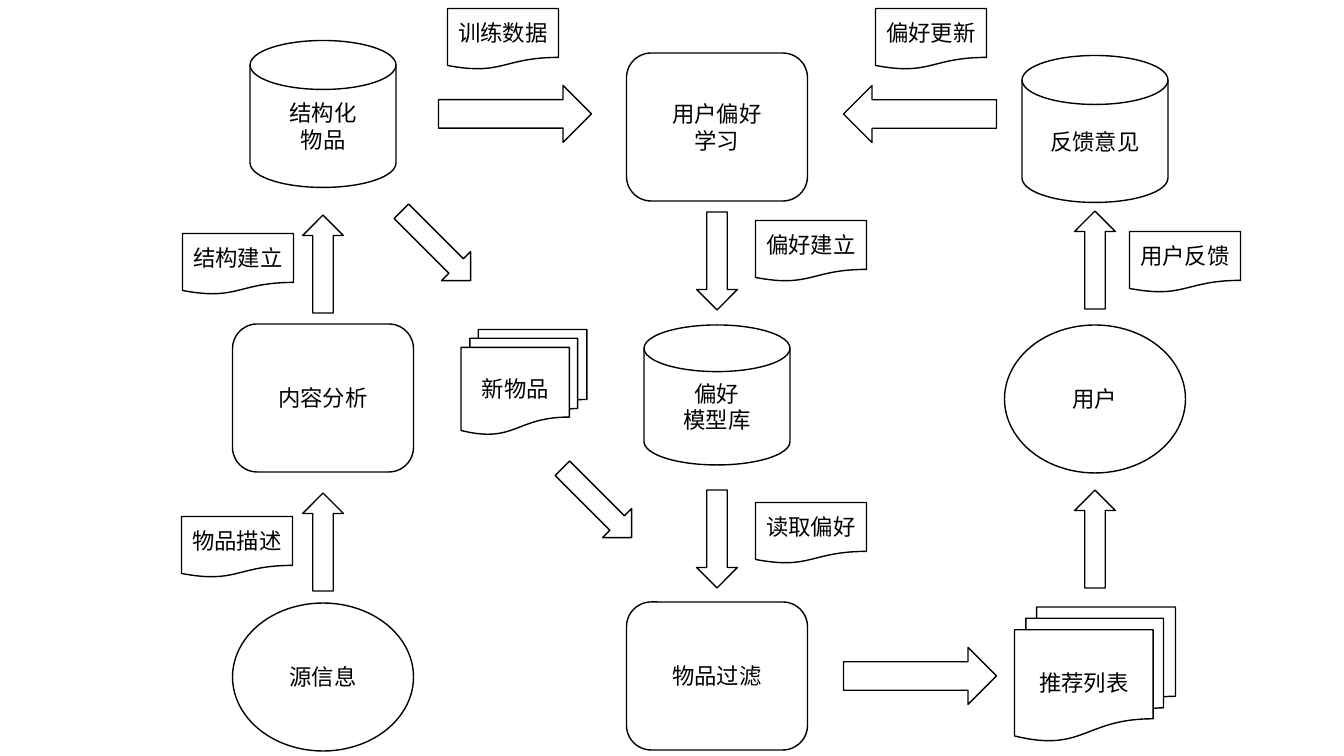
from dataclasses import dataclass

from pptx import Presentation
from pptx.dml.color import RGBColor
from pptx.enum.shapes import MSO_SHAPE
from pptx.enum.text import MSO_ANCHOR, PP_ALIGN
from pptx.util import Pt

PIXEL = 914400 / 100.8
INK = "000000"
FONT = "Calibri"

DISK = MSO_SHAPE.FLOWCHART_MAGNETIC_DISK
PROCESS = MSO_SHAPE.ROUNDED_RECTANGLE
ENTITY = MSO_SHAPE.OVAL
STACK = MSO_SHAPE.FLOWCHART_MULTIDOCUMENT
LABEL = MSO_SHAPE.FLOWCHART_DOCUMENT
ARROW = MSO_SHAPE.RIGHT_ARROW
CENTER = PP_ALIGN.CENTER
MIDDLE = MSO_ANCHOR.MIDDLE

# Centre lines of the three columns, and rotations of the arrows
LEFT, MID, RIGHT = 323, 717, 1095
EAST, SOUTHEAST, SOUTH, WEST, NORTH = 0, 45, 90, 180, 270


@dataclass
class Node:
    kind: int
    x: int  # centre
    y: int
    width: int
    height: int
    text: str


@dataclass
class Arrow:
    x: int  # centre
    y: int
    rotation: int
    length: int = 98
    thickness: int = 41


NODES = [
    Node(DISK, LEFT, 114, 146, 147, "结构化\n物品"),
    Node(DISK, MID, 395, 146, 140, "偏好\n模型库"),
    Node(DISK, RIGHT, 129, 146, 147, "反馈意见"),
    Node(PROCESS, LEFT, 398, 181, 148, "内容分析"),
    Node(PROCESS, MID, 676, 181, 148, "物品过滤"),
    Node(PROCESS, MID, 127, 181, 148, "用户偏好\n学习"),
    Node(ENTITY, LEFT, 677, 181, 148, "源信息"),
    Node(ENTITY, RIGHT, 399, 181, 148, "用户"),
    Node(STACK, 524, 382, 126, 105, "新物品"),
    Node(STACK, RIGHT, 674, 161, 134, "推荐列表"),
]

LABELS = [
    Node(LABEL, x, y, 111, 61, text)
    for x, y, text in [
        (503, 39, "训练数据"),
        (931, 39, "偏好更新"),
        (238, 264, "结构建立"),
        (811, 251, "偏好建立"),
        (1185, 262, "用户反馈"),
        (237, 547, "物品描述"),
        (811, 533, "读取偏好"),
    ]
]

ARROWS = [
    Arrow(515, 114, EAST, 153, 57),
    Arrow(920, 114, WEST, 153, 57),
    Arrow(920, 676, EAST, 153, 57),
    Arrow(LEFT, 264, NORTH),
    Arrow(LEFT, 542, NORTH),
    Arrow(RIGHT, 260, NORTH),
    Arrow(RIGHT, 539, NORTH),
    Arrow(MID, 261, SOUTH),
    Arrow(MID, 539, SOUTH),
    Arrow(436, 246, SOUTHEAST),
    Arrow(597, 503, SOUTHEAST),
]


def px(pixels: float) -> int:
    return round(pixels * PIXEL)


def color(value: str) -> RGBColor:
    return RGBColor.from_string(value)


def add_outline(page, kind: int, x: int, y: int, width: int, height: int):
    """Add an unfilled, outlined shape around its centre."""
    shape = page.shapes.add_shape(
        kind, px(x - width / 2), px(y - height / 2), px(width), px(height)
    )
    shape.shadow.inherit = False
    shape.fill.background()
    shape.line.color.rgb = color(INK)
    shape.line.width = Pt(1)
    return shape


def write(shape, text: str, *, size: int = 16, ink: str = INK, font: str = FONT) -> None:
    """Centre the text in the shape, one paragraph per line."""
    frame = shape.text_frame
    frame.word_wrap = True
    frame.vertical_anchor = MIDDLE
    frame.margin_left = frame.margin_right = 0
    frame.text = text
    for para in frame.paragraphs:
        para.alignment = CENTER
        for span in para.runs:
            span.font.name = font
            span.font.size = Pt(size)
            span.font.color.rgb = color(ink)


def draw_node(page, node: Node) -> None:
    box = add_outline(page, node.kind, node.x, node.y, node.width, node.height)
    write(box, node.text)


def draw_arrow(page, arrow: Arrow) -> None:
    shape = add_outline(page, ARROW, arrow.x, arrow.y, arrow.length, arrow.thickness)
    shape.rotation = arrow.rotation


# Deck with one blank page
deck = Presentation()
deck.slide_width, deck.slide_height = px(1344), px(756)
page = deck.slides.add_slide(deck.slide_layouts[6])

# Flow chart
for node in NODES + LABELS:
    draw_node(page, node)
for arrow in ARROWS:
    draw_arrow(page, arrow)

deck.save("out.pptx")
